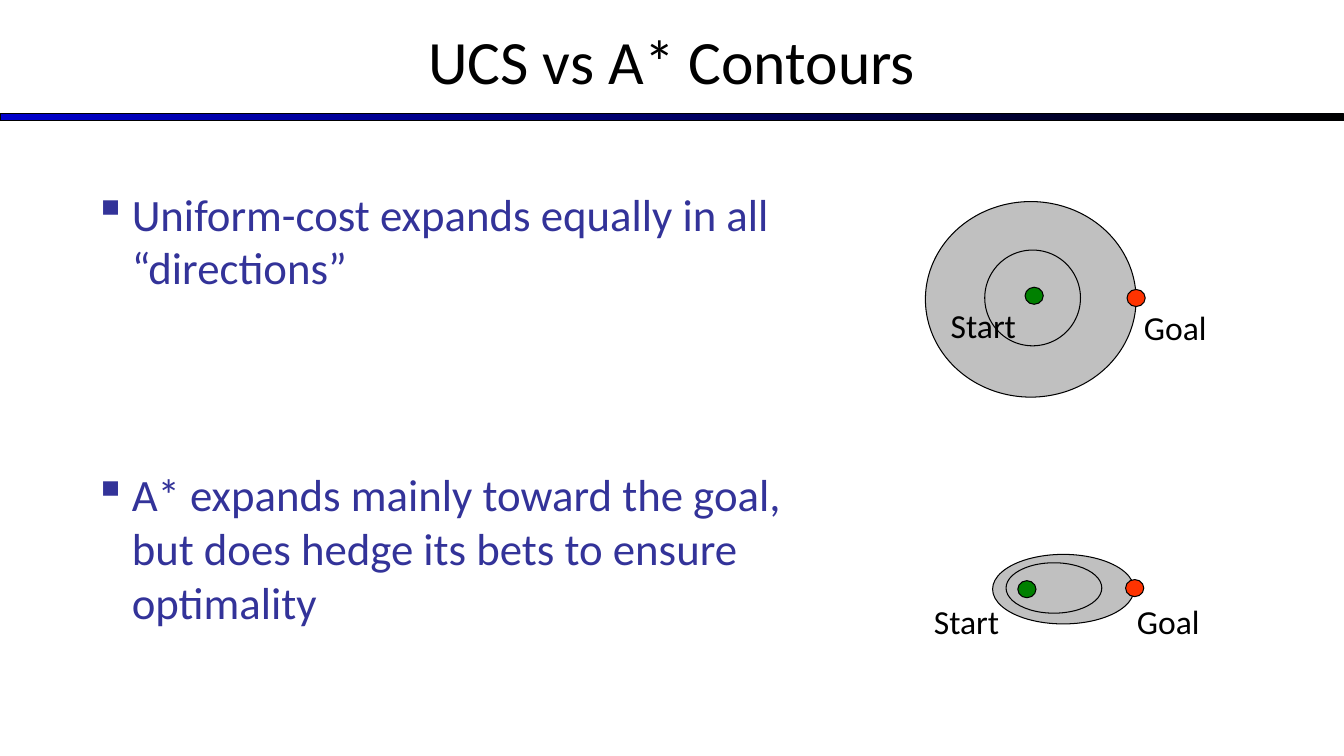
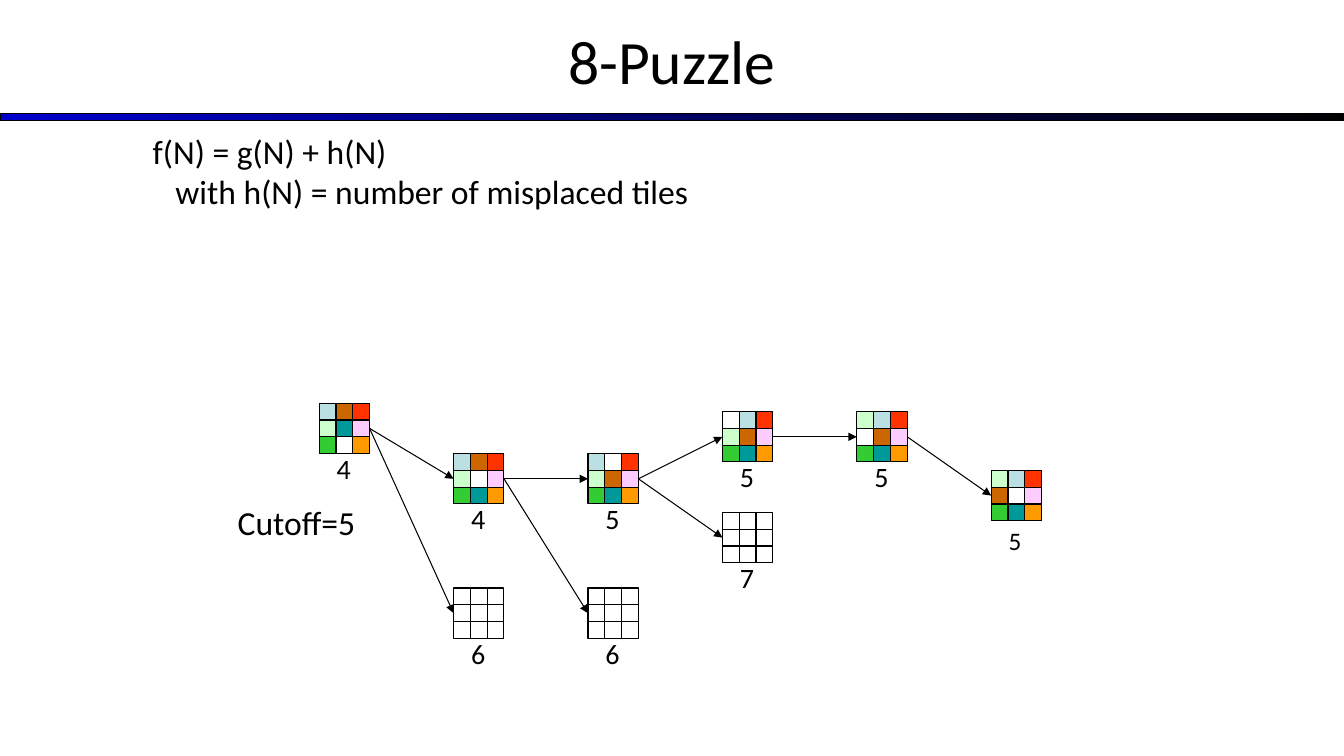
from lxml import etree
from pptx import Presentation
from pptx.dml.color import RGBColor
from pptx.enum.shapes import MSO_CONNECTOR, MSO_SHAPE
from pptx.enum.text import MSO_ANCHOR, PP_ALIGN
from pptx.oxml.ns import qn
from pptx.util import Pt

RECTANGLE = MSO_SHAPE.RECTANGLE
OVAL = MSO_SHAPE.OVAL
STRAIGHT = MSO_CONNECTOR.STRAIGHT
TOP = MSO_ANCHOR.TOP
MIDDLE = MSO_ANCHOR.MIDDLE
LEFT = PP_ALIGN.LEFT
CENTER = PP_ALIGN.CENTER

BLACK = RGBColor(0x00, 0x00, 0x00)
WHITE = RGBColor(0xFF, 0xFF, 0xFF)
BLUE = RGBColor(0x00, 0x00, 0xCC)
INDIGO = RGBColor(0x33, 0x33, 0x99)
GRAY = RGBColor(0xC0, 0xC0, 0xC0)
DARK_GREEN = RGBColor(0x00, 0x80, 0x00)
RED = RGBColor(0xFF, 0x33, 0x00)
PALE_BLUE = RGBColor(0xBB, 0xE0, 0xE3)
BROWN = RGBColor(0xCC, 0x66, 0x00)
PALE_GREEN = RGBColor(0xCC, 0xFF, 0xCC)
TEAL = RGBColor(0x00, 0x99, 0x99)
PINK = RGBColor(0xFF, 0xCC, 0xFF)
GREEN = RGBColor(0x33, 0xCC, 0x33)
ORANGE = RGBColor(0xFF, 0x99, 0x00)

TILE_COLORS = {
    "1": PALE_BLUE, "2": BROWN, "3": RED, "4": PALE_GREEN, "5": TEAL,
    "6": PINK, "7": GREEN, "8": ORANGE, "-": WHITE,
}
TILE = 12
BOARD = 3 * TILE
EMPTY_BOARD = "---------"

WIDTH, HEIGHT = 960, 540
TITLE_HEIGHT = 86
FONT = "Calibri"
LINE_WIDTH = 0.75
BULLET_INDENT = 27


class Deck:
    def __init__(self):
        self.deck = Presentation()
        self.deck.slide_width = Pt(WIDTH)
        self.deck.slide_height = Pt(HEIGHT)
        self.page = None

    def new_page(self, title):
        self.page = self.deck.slides.add_slide(self.deck.slide_layouts[6])
        band = self.shape(RECTANGLE, 0, 81.4, WIDTH, 5)
        band.fill.gradient()
        band.fill.gradient_angle = 0
        for stop, color in zip(band.fill.gradient_stops, (BLUE, BLACK)):
            stop.color.rgb = color
        self.text(0, 0, WIDTH, TITLE_HEIGHT, [title], 44,
                  anchor=MIDDLE, align=CENTER)

    def shape(self, kind, left, top, width, height, color=None):
        shape = self.page.shapes.add_shape(
            kind, Pt(left), Pt(top), Pt(width), Pt(height))
        shape.shadow.inherit = False
        shape.line.color.rgb = BLACK
        shape.line.width = Pt(LINE_WIDTH)
        if color is None:
            shape.fill.background()
        else:
            shape.fill.solid()
            shape.fill.fore_color.rgb = color
        return shape

    def text(self, left, top, width, height, lines, size,
             color=BLACK, anchor=TOP, align=LEFT):
        box = self.page.shapes.add_textbox(
            Pt(left), Pt(top), Pt(width), Pt(height))
        frame = box.text_frame
        frame.word_wrap = True
        frame.vertical_anchor = anchor
        style = {"name": FONT, "size": Pt(size)}
        for index, line in enumerate(lines):
            para = frame.add_paragraph() if index else frame.paragraphs[0]
            para.alignment = align
            span = para.add_run()
            span.text = line
            for name, value in style.items():
                setattr(span.font, name, value)
            span.font.color.rgb = color
        return frame.paragraphs

    def bullets(self, left, top, width, height, lines, size, gap):
        paras = self.text(left, top, width, height, lines, size, INDIGO)
        for index, para in enumerate(paras):
            properties = para._p.get_or_add_pPr()
            properties.set("marL", str(Pt(BULLET_INDENT)))
            properties.set("indent", str(-Pt(BULLET_INDENT)))
            bullet_color = etree.SubElement(properties, qn("a:buClr"))
            etree.SubElement(bullet_color, qn("a:srgbClr"), val=str(INDIGO))
            etree.SubElement(properties, qn("a:buChar"), char="▪")
            if index:
                para.space_before = Pt(gap)

    def arrow(self, start_x, start_y, end_x, end_y):
        arrow = self.page.shapes.add_connector(
            STRAIGHT, Pt(start_x), Pt(start_y), Pt(end_x), Pt(end_y))
        arrow.line.color.rgb = BLACK
        arrow.line.width = Pt(LINE_WIDTH)
        etree.SubElement(arrow.line._get_or_add_ln(), qn("a:tailEnd"),
                         type="triangle")
        etree.SubElement(arrow._element.spPr, qn("a:effectLst"))

    def contours(self, outer, inner, points):
        self.shape(OVAL, *outer, GRAY)
        self.shape(OVAL, *inner)
        for name, color, dot, label in points:
            self.shape(OVAL, *dot, 13, 12.2, color)
            self.text(*label, 72, 36, [name], 24)

    def board(self, left, top, tiles):
        for index, tile in enumerate(tiles):
            row, column = divmod(index, 3)
            self.shape(RECTANGLE, left + column * TILE, top + row * TILE,
                       TILE, TILE, TILE_COLORS[tile])

    def search_tree(self, nodes):
        for left, top, tiles, parent, cost, size, drop in nodes:
            self.board(left, top, tiles)
            self.text(left + 5.4, top + drop, 26.6, 31, [cost], size)
            if parent is not None:
                parent_left, parent_top = nodes[parent][:2]
                self.arrow(parent_left + BOARD, parent_top + BOARD / 2,
                           left, top + BOARD / 2)


def contours_page(deck):
    deck.new_page("UCS vs A* Contours")
    deck.bullets(60, 129.6, 528, 356, [
        "Uniform-cost expands equally in all “directions”",
        "A* expands mainly toward the goal, but does hedge its bets "
        "to ensure optimality",
    ], 32, 123.6)
    deck.contours((661, 144, 150.5, 139.7), (703.4, 178.6, 68.4, 68.4), [
        ("Start", DARK_GREEN, (732.2, 205.2), (672, 214.6)),
        ("Goal", RED, (805, 206.8), (810, 216)),
    ])
    deck.contours((709, 396, 101, 49.7), (718.6, 402, 68.4, 36), [
        ("Start", DARK_GREEN, (727, 414.8), (660, 426)),
        ("Goal", RED, (804, 414), (805, 425.8)),
    ])


def puzzle_page(deck):
    deck.new_page("8-Puzzle")
    formula = deck.text(102, 90, 496, 65, [
        "f(N) = g(N) + h(N)",
        "with h(N) = number of misplaced tiles",
    ], 24)
    formula[1]._p.get_or_add_pPr().set("marL", str(Pt(16.3)))
    deck.text(162.7, 355, 122, 36, ["Cutoff=5"], 24)
    columns = [228 + 96 * step for step in range(6)]
    deck.search_tree([
        (columns[0], 288, "1234567-8", None, "4", 20, 31),
        (columns[1], 324, "1234-6758", 0, "4", 20, 31),
        (columns[1], 420, EMPTY_BOARD, 0, "6", 20, 31),
        (columns[2], 420, EMPTY_BOARD, 1, "6", 20, 31),
        (columns[2], 324, "1-3426758", 1, "5", 20, 31),
        (columns[3], 366, EMPTY_BOARD, 4, "7", 20, 31),
        (columns[3], 294, "-13426758", 4, "5", 20, 31),
        (columns[4], 294, "413-26758", 6, "5", 20, 31),
        (columns[5], 336, "4132-6758", 7, "5", 18, 36),
    ])


def main():
    deck = Deck()
    contours_page(deck)
    puzzle_page(deck)
    deck.deck.save("out.pptx")


if __name__ == "__main__":
    main()
